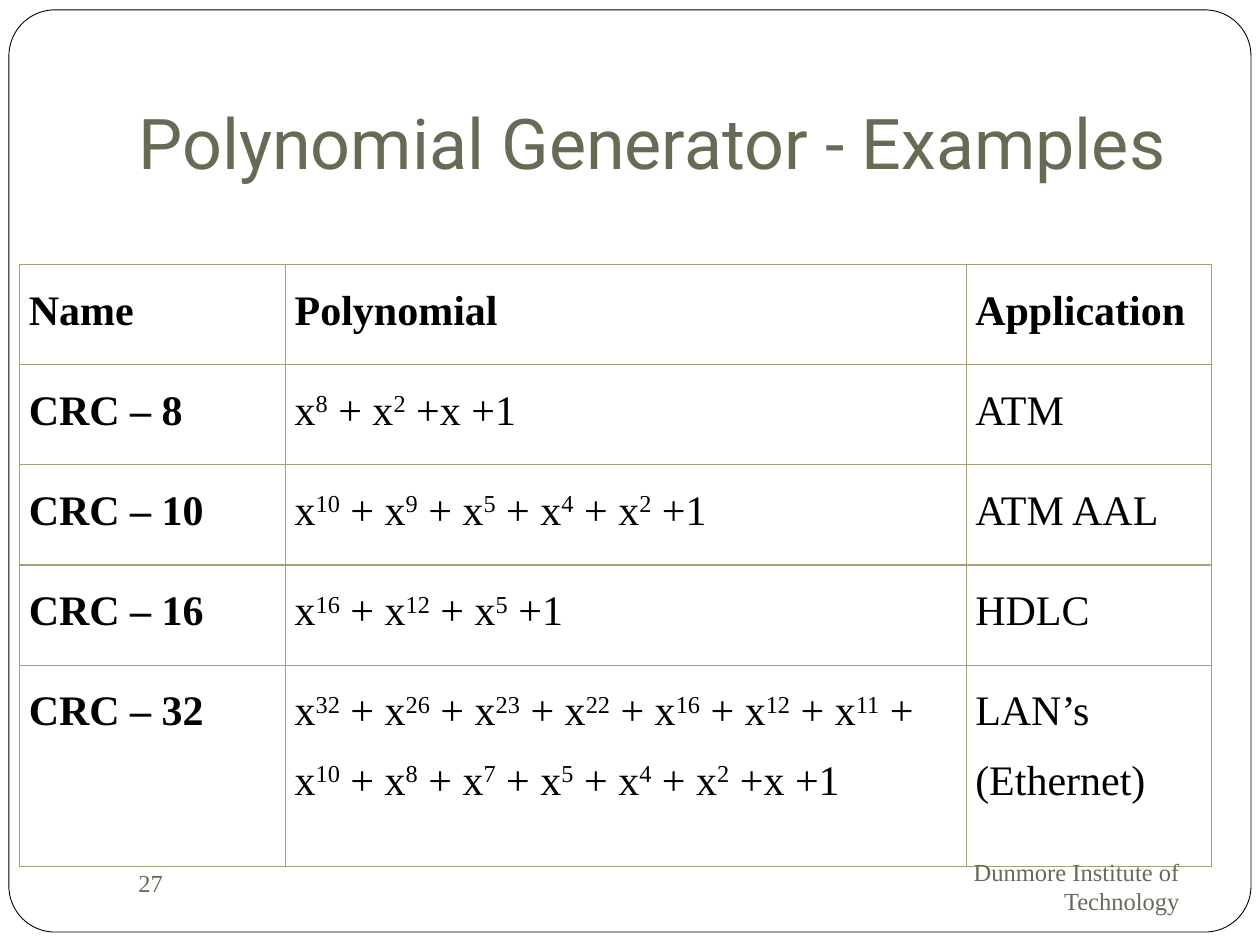
from dataclasses import dataclass

from lxml import etree
from pptx import Presentation
from pptx.dml.color import RGBColor
from pptx.enum.shapes import MSO_SHAPE
from pptx.enum.text import MSO_ANCHOR, MSO_AUTO_SIZE, PP_ALIGN
from pptx.oxml.ns import qn
from pptx.util import Cm, Pt

ROUNDED = MSO_SHAPE.ROUNDED_RECTANGLE
MIDDLE, BOTTOM = MSO_ANCHOR.MIDDLE, MSO_ANCHOR.BOTTOM
LEFT, RIGHT = PP_ALIGN.LEFT, PP_ALIGN.RIGHT
NO_AUTOFIT = MSO_AUTO_SIZE.NONE

COLORS = {"paper": "FFFFFF", "ink": "000000", "olive": "676A55", "grid": "A79F77"}
TITLE_FONT, BODY_FONT = "Roboto", "Times New Roman"
TITLE_ONLY_LAYOUT = 5
COLUMN_WIDTHS = (5.36, 13.72, 4.94)
ROW_HEIGHTS = (2.02, 2.02, 2.02, 2.02, 4.05)
HEADINGS = ("Name", "Polynomial", "Application")


@dataclass
class Code:
    name: str
    exponents: tuple[int, ...]
    ending: str
    application: str


@dataclass
class FooterText:
    text: str
    left: float
    top: float
    width: float
    height: float
    alignment: PP_ALIGN


CODES = (
    Code("CRC – 8", (8, 2), " +x +1", "ATM"),
    Code("CRC – 10", (10, 9, 5, 4, 2), " +1", "ATM AAL"),
    Code("CRC – 16", (16, 12, 5), " +1", "HDLC"),
    Code("CRC – 32", (32, 26, 23, 22, 16, 12, 11, 10, 8, 7, 5, 4, 2), " +x +1",
         "LAN’s (Ethernet)"),
)
FOOTERS = (
    FooterText("Dunmore Institute of Technology", 17.15, 17.2, 6.88, 1.32, RIGHT),
    FooterText("27", 2.54, 17.15, 11, 1.27, LEFT),
)


def rgb(name: str) -> RGBColor:
    return RGBColor.from_string(COLORS[name])


def add_run(paragraph, text: str, size: float, color: str, font: str = BODY_FONT,
            bold: bool = False, superscript: bool = False) -> None:
    run = paragraph.add_run()
    run.text = text
    run.font.size = Pt(size)
    run.font.name = font
    run.font.bold = bold
    run.font.color.rgb = rgb(color)
    if superscript:
        run.font._element.set("baseline", "30000")


def add_frame(slide) -> None:
    frame = slide.shapes.add_shape(ROUNDED, Cm(0.18), Cm(0.2), Cm(25.04), Cm(18.59))
    frame.adjustments[0] = 0.05
    frame.shadow.inherit = False
    frame.fill.solid()
    frame.fill.fore_color.rgb = rgb("paper")
    frame.line.color.rgb = rgb("ink")
    frame.line.width = Pt(0.5)
    # Keep the frame behind the title
    slide.shapes.title.element.addprevious(frame.element)


def fill_title(slide, text: str) -> None:
    title = slide.shapes.title
    title.left, title.top, title.width, title.height = Cm(2.54), Cm(0.76), Cm(21.59), Cm(3.18)
    text_frame = title.text_frame
    text_frame.auto_size = NO_AUTOFIT
    text_frame.vertical_anchor = BOTTOM
    text_frame.margin_bottom = Cm(0.25)
    paragraph = text_frame.paragraphs[0]
    paragraph.alignment = LEFT
    add_run(paragraph, text, 40, "olive", TITLE_FONT)


def set_borders(cell) -> None:
    properties = cell._tc.get_or_add_tcPr()
    for position, side in enumerate(("lnL", "lnR", "lnT", "lnB")):
        line = etree.Element(qn(f"a:{side}"), w=str(Pt(0.75)))
        fill = etree.SubElement(line, qn("a:solidFill"))
        etree.SubElement(fill, qn("a:srgbClr"), val=COLORS["grid"])
        properties.insert(position, line)


def prepare_cell(cell):
    cell.margin_left = cell.margin_right = Cm(0.18)
    cell.margin_top = cell.margin_bottom = 0
    cell.fill.background()
    set_borders(cell)
    paragraph = cell.text_frame.paragraphs[0]
    paragraph.line_spacing = 1.5
    paragraph.space_after = Pt(10)
    return paragraph


def write_polynomial(paragraph, code: Code) -> None:
    for index, exponent in enumerate(code.exponents):
        add_run(paragraph, " + x" if index else "x", 24, "ink")
        add_run(paragraph, str(exponent), 24, "ink", superscript=True)
    add_run(paragraph, code.ending, 24, "ink")


def add_code_table(slide) -> None:
    table = slide.shapes.add_table(
        len(ROW_HEIGHTS), len(COLUMN_WIDTHS), Cm(0.4), Cm(5.33),
        Cm(sum(COLUMN_WIDTHS)), Cm(sum(ROW_HEIGHTS))).table
    table.first_row = table.horz_banding = False
    for column, width in zip(table.columns, COLUMN_WIDTHS):
        column.width = Cm(width)
    for row, height in zip(table.rows, ROW_HEIGHTS):
        row.height = Cm(height)

    heading_row, *code_rows = [[prepare_cell(cell) for cell in row.cells] for row in table.rows]
    for paragraph, heading in zip(heading_row, HEADINGS):
        add_run(paragraph, heading, 24, "ink", bold=True)
    for (name, polynomial, application), code in zip(code_rows, CODES):
        add_run(name, code.name, 24, "ink", bold=True)
        write_polynomial(polynomial, code)
        add_run(application, code.application, 24, "ink")


def add_footer(slide, footer: FooterText) -> None:
    box = slide.shapes.add_textbox(
        Cm(footer.left), Cm(footer.top), Cm(footer.width), Cm(footer.height))
    box.text_frame.word_wrap = True
    box.text_frame.vertical_anchor = MIDDLE
    paragraph = box.text_frame.paragraphs[0]
    paragraph.alignment = footer.alignment
    add_run(paragraph, footer.text, 14, "olive")


def main() -> None:
    presentation = Presentation()
    presentation.slide_width, presentation.slide_height = Cm(25.4), Cm(19.05)
    slide = presentation.slides.add_slide(presentation.slide_layouts[TITLE_ONLY_LAYOUT])

    # Frame and title
    add_frame(slide)
    fill_title(slide, "Polynomial Generator - Examples")

    # Table of generator polynomials
    add_code_table(slide)

    # Institute and page number
    for footer in FOOTERS:
        add_footer(slide, footer)

    presentation.save("out.pptx")


if __name__ == "__main__":
    main()
